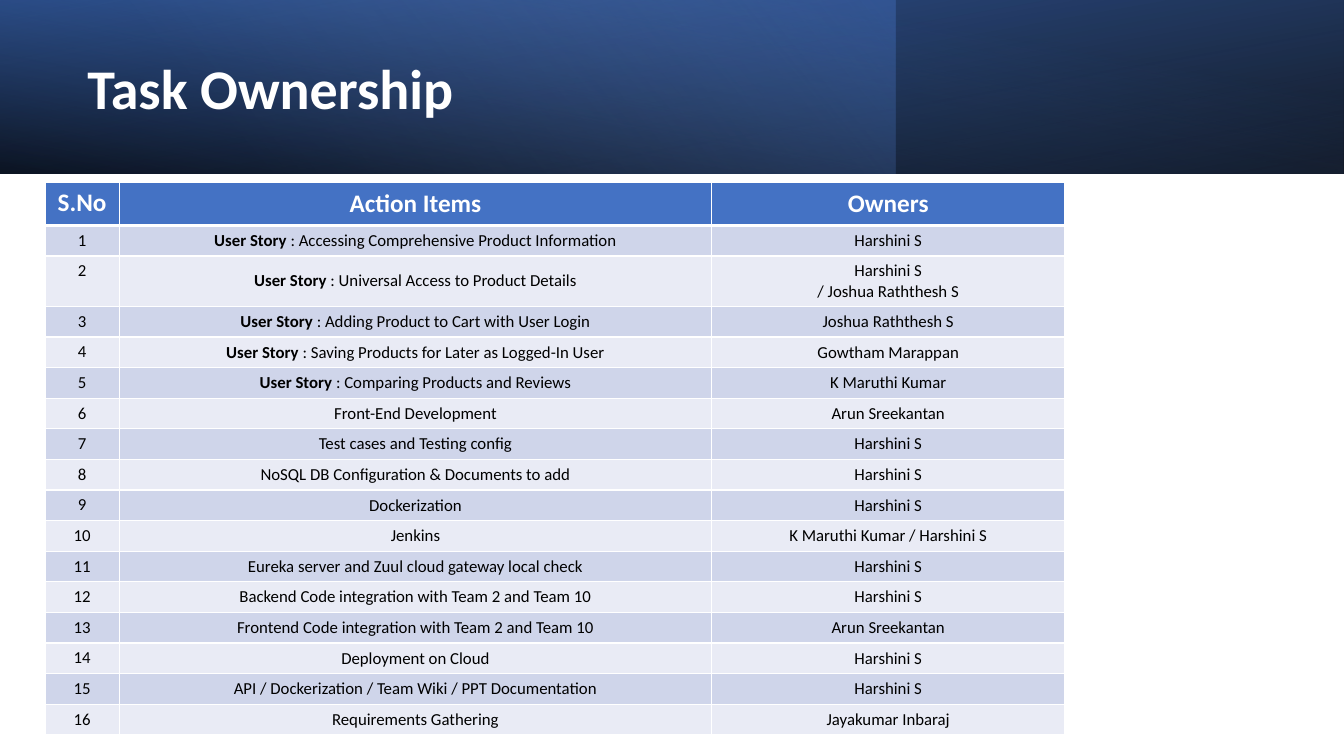
import pptx
import pptx.dml.color
import pptx.enum.shapes
import pptx.enum.text
import pptx.oxml
import pptx.oxml.ns
import pptx.util

Pt = pptx.util.Pt
SLIDE_WIDTH, SLIDE_HEIGHT = 960, 540
BANNER_HEIGHT = 124
FONT = "Calibri"
WHITE, BLACK = "FFFFFF", "000000"
HEADER_FILL, ODD_FILL, EVEN_FILL = "4472C4", "CFD5EA", "E9EBF5"

TITLE = "Task Ownership"
HEADINGS = ["S.No", "Action Items", "Owners"]
STORY_LABEL = "User Story "
TASKS = [
    ("User Story : Accessing Comprehensive Product Information", "Harshini S"),
    ("User Story : Universal Access to Product Details", "Harshini S\n/ Joshua Raththesh S"),
    ("User Story : Adding Product to Cart with User Login", "Joshua Raththesh S"),
    ("User Story : Saving Products for Later as Logged-In User", "Gowtham Marappan"),
    ("User Story : Comparing Products and Reviews", "K Maruthi Kumar"),
    ("Front-End Development", "Arun Sreekantan"),
    ("Test cases and Testing config", "Harshini S"),
    ("NoSQL DB Configuration & Documents to add", "Harshini S"),
    ("Dockerization", "Harshini S"),
    ("Jenkins", "K Maruthi Kumar / Harshini S"),
    ("Eureka server and Zuul cloud gateway local check", "Harshini S"),
    ("Backend Code integration with Team 2 and Team 10", "Harshini S"),
    ("Frontend Code integration with Team 2 and Team 10", "Arun Sreekantan"),
    ("Deployment on Cloud", "Harshini S"),
    ("API / Dockerization / Team Wiki / PPT Documentation", "Harshini S"),
    ("Requirements Gathering", "Jayakumar Inbaraj"),
]
COLUMN_WIDTHS = [52.9, 423.4, 252]
HEADER_HEIGHT, ROW_HEIGHT = 30.5, 21.86

# width, rotation, flipped, gradient angle, stops (position %, colour, opacity %)
BANNER_LAYERS = [
    (SLIDE_WIDTH, 180, True, 100, [(0, "000000", 96), (100, "2F5597", 100)]),
    (640, 0, False, 140, [(0, "4472C4", 41), (74, "8FAADC", 0)]),
    (SLIDE_WIDTH, 0, True, 260, [(0, "000000", 63), (78, "4472C4", 15)]),
]


def color(hex_code):
    return pptx.dml.color.RGBColor.from_string(hex_code)


def gradient_element(angle, stops):
    stop_xml = "".join(
        f'<a:gs pos="{position * 1000}"><a:srgbClr val="{hex_code}">'
        f'<a:alpha val="{opacity * 1000}"/></a:srgbClr></a:gs>'
        for position, hex_code, opacity in stops
    )
    return pptx.oxml.parse_xml(
        f'<a:gradFill {pptx.oxml.ns.nsdecls("a")}><a:gsLst>{stop_xml}</a:gsLst>'
        f'<a:lin ang="{angle * 60000}" scaled="0"/></a:gradFill>'
    )


def add_banner_layer(slide, width, rotation, flipped, angle, stops):
    shape = slide.shapes.add_shape(
        pptx.enum.shapes.MSO_SHAPE.RECTANGLE, 0, 0, Pt(width), Pt(BANNER_HEIGHT)
    )
    shape.shadow.inherit = False
    shape.line.fill.background()
    shape.rotation = rotation
    shape.fill.background()
    properties = shape._element.spPr
    if flipped:
        properties.xfrm.set("flipH", "1")
    no_fill = properties.find(pptx.oxml.ns.qn("a:noFill"))
    properties.replace(no_fill, gradient_element(angle, stops))


def format_run(run, size, hex_code, bold):
    run.font.name = FONT
    run.font.size = Pt(size)
    run.font.bold = bold
    run.font.color.rgb = color(hex_code)


def add_title(slide):
    box = slide.shapes.add_textbox(Pt(55.4), Pt(19.4), Pt(556), Pt(91.4))
    frame = box.text_frame
    frame.word_wrap = True
    frame.vertical_anchor = pptx.enum.text.MSO_ANCHOR.MIDDLE
    frame.text = TITLE
    paragraph = frame.paragraphs[0]
    paragraph.line_spacing = 0.9
    format_run(paragraph.runs[0], 40, WHITE, True)


def add_bottom_border(cell, width):
    border = pptx.oxml.parse_xml(
        f'<a:lnB {pptx.oxml.ns.nsdecls("a")} w="{Pt(width)}"><a:solidFill>'
        f'<a:srgbClr val="{WHITE}"/></a:solidFill></a:lnB>'
    )
    cell._tc.get_or_add_tcPr().insert(0, border)


def fill_cell(cell, text, fill, size, hex_code, bold):
    cell.fill.solid()
    cell.fill.fore_color.rgb = color(fill)
    frame = cell.text_frame
    if text.startswith(STORY_LABEL):
        paragraph = frame.paragraphs[0]
        for part in (STORY_LABEL, text[len(STORY_LABEL):]):
            paragraph.add_run().text = part
    else:
        frame.text = text
    for paragraph in frame.paragraphs:
        paragraph.alignment = pptx.enum.text.PP_ALIGN.CENTER
        for run in paragraph.runs:
            format_run(run, size, hex_code, bold or run.text == STORY_LABEL)


def add_task_table(slide):
    rows = [HEADINGS] + [(str(number), *task) for number, task in enumerate(TASKS, 1)]
    height = HEADER_HEIGHT + ROW_HEIGHT * len(TASKS)
    table = slide.shapes.add_table(
        len(rows), len(HEADINGS), Pt(32.2), Pt(130.5), Pt(sum(COLUMN_WIDTHS)), Pt(height)
    ).table
    for column, width in zip(table.columns, COLUMN_WIDTHS):
        column.width = Pt(width)
    for row_index, texts in enumerate(rows):
        if row_index == 0:
            row_height, style = HEADER_HEIGHT, (HEADER_FILL, 18, WHITE, True)
        else:
            row_fill = ODD_FILL if row_index % 2 else EVEN_FILL
            row_height, style = ROW_HEIGHT, (row_fill, 12, BLACK, False)
        table.rows[row_index].height = Pt(row_height)
        for column_index, text in enumerate(texts):
            cell = table.cell(row_index, column_index)
            fill_cell(cell, text, *style)
            if row_index == 0:
                add_bottom_border(cell, 3)
            if column_index > 0:
                cell.vertical_anchor = pptx.enum.text.MSO_ANCHOR.MIDDLE


def main():
    presentation = pptx.Presentation()
    presentation.slide_width = Pt(SLIDE_WIDTH)
    presentation.slide_height = Pt(SLIDE_HEIGHT)
    slide = presentation.slides.add_slide(presentation.slide_layouts[6])
    for layer in BANNER_LAYERS:
        add_banner_layer(slide, *layer)
    add_title(slide)
    add_task_table(slide)
    presentation.save("out.pptx")


if __name__ == "__main__":
    main()
